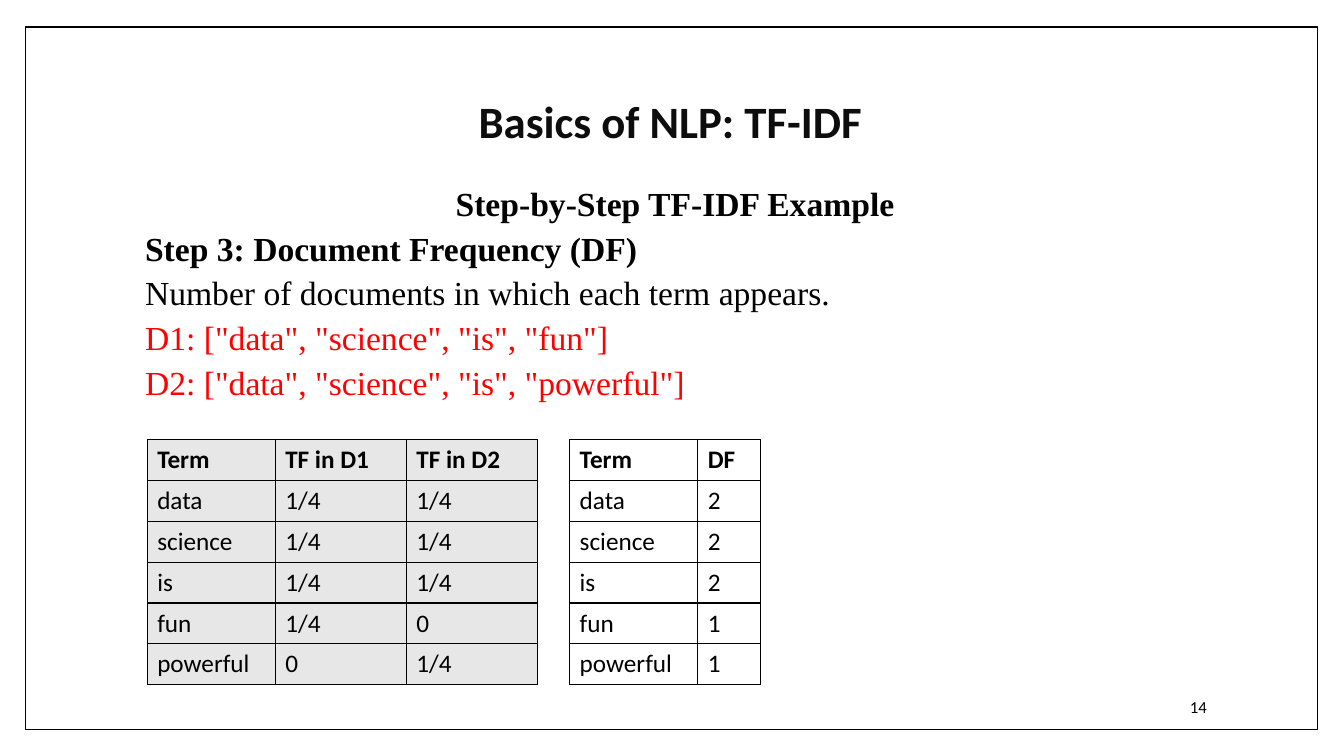
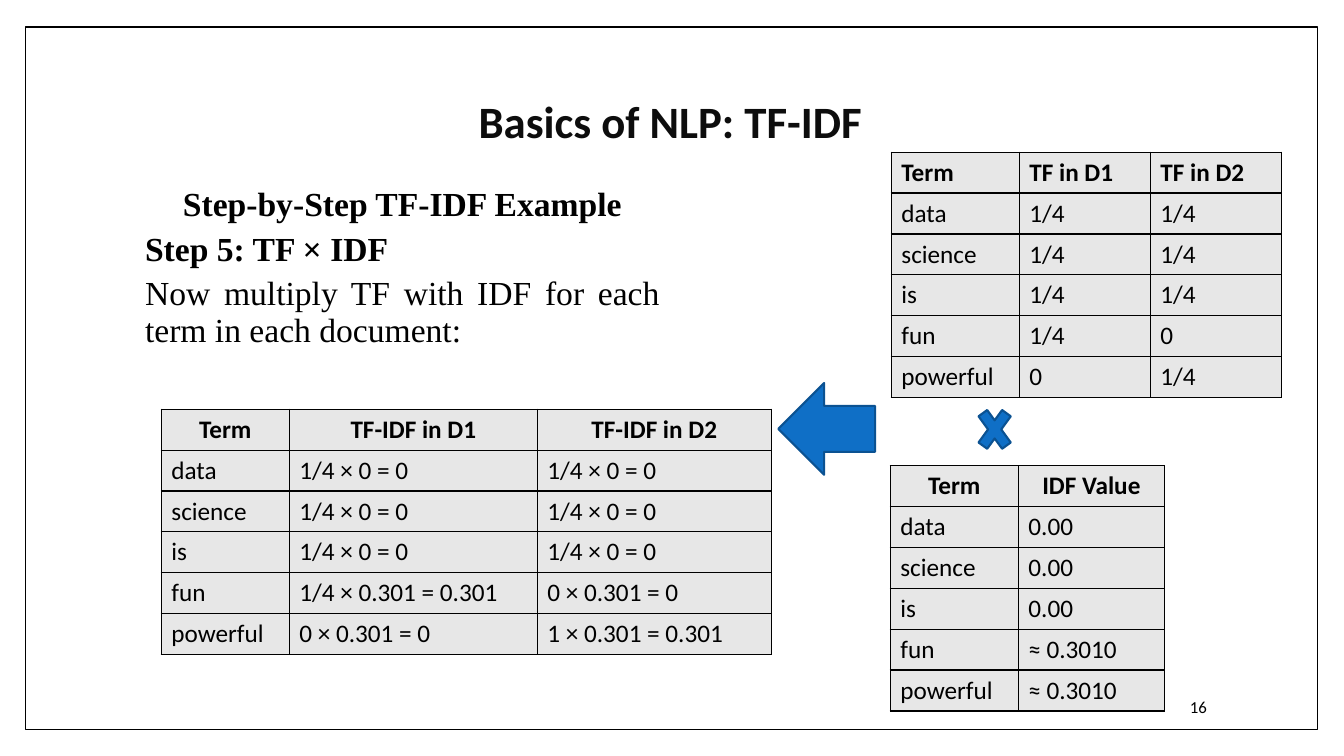
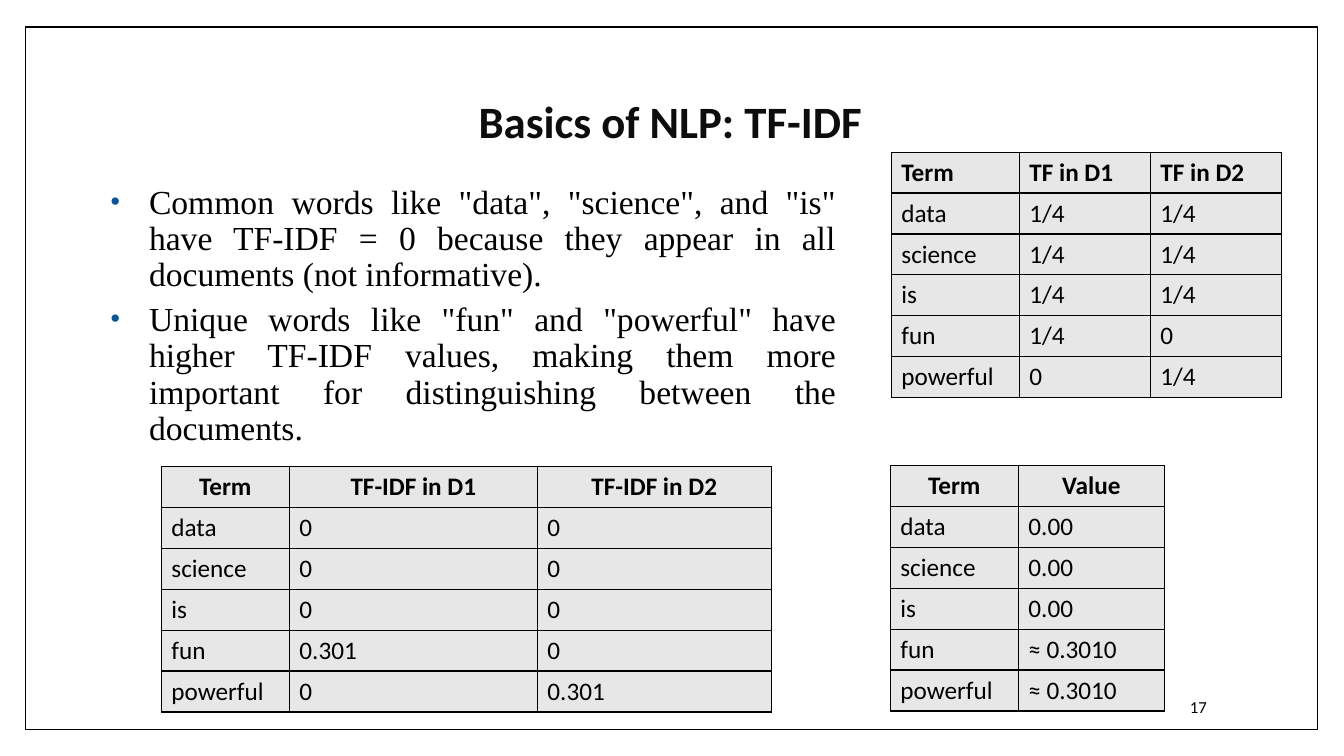
from lxml import etree
from pptx import Presentation
from pptx.dml.color import RGBColor
from pptx.enum import shapes, text
from pptx.oxml.ns import qn
from pptx.util import Inches, Pt

BLACK = RGBColor(0x00, 0x00, 0x00)
WHITE = RGBColor(0xFF, 0xFF, 0xFF)
TITLE_INK = RGBColor(0x0D, 0x0D, 0x0D)
RED = RGBColor(0xFF, 0x00, 0x00)
GREY = RGBColor(0xE7, 0xE7, 0xE7)
BLUE = RGBColor(0x0F, 0x6F, 0xC6)
DARK_BLUE = RGBColor(0x0B, 0x52, 0x92)
BULLET_BLUE = RGBColor(0x0B, 0x53, 0x95)

HEADING_FONT = "Calibri"
BODY_FONT = "Times New Roman"
LEFT, CENTER, RIGHT, JUSTIFY = (
    text.PP_ALIGN.LEFT, text.PP_ALIGN.CENTER, text.PP_ALIGN.RIGHT, text.PP_ALIGN.JUSTIFY)

TERMS = ["data", "science", "is", "fun", "powerful"]
TERM_WIDTH = 1.27
ROW_HEIGHT = 0.4
TF = {"TF in D1": ["1/4"] * 4 + ["0"], "TF in D2": ["1/4"] * 3 + ["0", "1/4"]}
TF_WIDTHS = [1.3, 1.3]
IDF = ["0.00"] * 3 + ["≈ 0.3010"] * 2
IDF_WIDTHS = [1.45]
TFIDF_WIDTHS = [2.46, 2.32]


def add_xml(parent, tag, **attributes):
    return etree.SubElement(parent, qn(tag), attributes)


class Deck:
    """Holds the shared style and the slide being filled."""

    def __init__(self):
        self.prs = Presentation()
        self.prs.slide_width, self.prs.slide_height = Inches(13.33), Inches(7.5)
        self.slide = None

    def new_slide(self, title, number):
        self.slide = self.prs.slides.add_slide(self.prs.slide_layouts[5])
        frame = self.shape(shapes.MSO_SHAPE.RECTANGLE, (0.25, 0.27, 12.82, 6.97), WHITE, BLACK, 1)
        self.slide.shapes._spTree.insert(2, frame._element)  # behind the title

        heading = self.slide.shapes.title
        heading.left, heading.top, heading.width, heading.height = map(
            Inches, (1.25, 0.49, 10.8, 1.48))
        body = self.prepare(heading, text.MSO_ANCHOR.MIDDLE)
        body.paragraphs[0].line_spacing = 0.9
        self.add_text(body.paragraphs[0], title, HEADING_FONT, 32, TITLE_INK, True, CENTER)

        page = self.slide.shapes.add_textbox(*map(Inches, (10.2, 6.81, 1.87, 0.4)))
        body = self.prepare(page, text.MSO_ANCHOR.MIDDLE)
        self.add_text(body.paragraphs[0], str(number), HEADING_FONT, 12, align=RIGHT)

    def prepare(self, holder, anchor):
        body = holder.text_frame
        body.word_wrap = True
        body.auto_size = text.MSO_AUTO_SIZE.NONE
        body.vertical_anchor = anchor
        return body

    def add_text(self, paragraph, words, font, size, color=BLACK, bold=False, align=LEFT):
        paragraph.alignment = align
        run = paragraph.add_run()
        run.text = words
        run.font.name, run.font.size, run.font.bold = font, Pt(size), bold
        run.font.color.rgb = color

    def body_text(self, box, lines, bulleted=False):
        """Each line is (words, colour, bold, alignment)."""
        holder = self.slide.shapes.add_textbox(*map(Inches, box))
        body = self.prepare(holder, text.MSO_ANCHOR.TOP)
        for index, (words, color, bold, align) in enumerate(lines):
            paragraph = body.add_paragraph() if index else body.paragraphs[0]
            self.indent(paragraph, bulleted)
            paragraph.line_spacing = 0.9
            paragraph.space_before = Pt(2 if index else 0)
            paragraph.space_after = Pt(4)
            self.add_text(paragraph, words, BODY_FONT, 24, color, bold, align)

    def indent(self, paragraph, bulleted):
        properties = paragraph._p.get_or_add_pPr()
        margin, hanging = (0.46, -0.38) if bulleted else (0.09, 0)
        properties.set("marL", str(Inches(margin)))
        properties.set("indent", str(Inches(hanging)))
        if bulleted:
            add_xml(add_xml(properties, "a:buClr"), "a:srgbClr", val=str(BULLET_BLUE))
            add_xml(properties, "a:buSzPct", val="80000")
            add_xml(properties, "a:buFont", typeface="Arial")
            add_xml(properties, "a:buChar", char="•")

    def term_table(self, left, top, columns, widths, fill=GREY, header_align=LEFT):
        """A row per term; columns maps each further heading to its values."""
        rows = [["Term", *columns], *zip(TERMS, *columns.values())]
        widths = [TERM_WIDTH, *widths]
        table = self.slide.shapes.add_table(
            len(rows), len(widths), Inches(left), Inches(top),
            Inches(sum(widths)), Inches(ROW_HEIGHT * len(rows))).table
        table.first_row = table.horz_banding = False
        for column, width in zip(table.columns, widths):
            column.width = Inches(width)
        for r, values in enumerate(rows):
            table.rows[r].height = Inches(ROW_HEIGHT)
            for c, value in enumerate(values):
                cell = table.cell(r, c)
                cell.vertical_anchor = text.MSO_ANCHOR.MIDDLE
                self.border(cell)
                if fill is None:
                    cell.fill.background()
                else:
                    cell.fill.solid()
                    cell.fill.fore_color.rgb = fill
                self.add_text(cell.text_frame.paragraphs[0], value, HEADING_FONT, 18,
                              bold=r == 0, align=LEFT if r else header_align)

    def border(self, cell):
        properties = cell._tc.get_or_add_tcPr()
        for side in ("a:lnL", "a:lnR", "a:lnT", "a:lnB"):
            line = add_xml(properties, side, w=str(Pt(1)))
            add_xml(add_xml(line, "a:solidFill"), "a:srgbClr", val=str(BLACK))

    def shape(self, kind, box, fill, line, weight):
        shape = self.slide.shapes.add_shape(kind, *map(Inches, box))
        shape.shadow.inherit = False
        shape.fill.solid()
        shape.fill.fore_color.rgb = fill
        shape.line.color.rgb = line
        shape.line.width = Pt(weight)
        return shape


def main():
    deck = Deck()
    title = "Basics of NLP: TF-IDF"
    example = ("Step-by-Step TF-IDF Example", BLACK, True, CENTER)

    deck.new_slide(title, 14)
    deck.body_text((1.25, 1.81, 10.8, 2.4), [
        example,
        ("Step 3: Document Frequency (DF)", BLACK, True, JUSTIFY),
        ("Number of documents in which each term appears.", BLACK, False, JUSTIFY),
        ('D1: ["data", "science", "is", "fun"]', RED, False, JUSTIFY),
        ('D2: ["data", "science", "is", "powerful"]', RED, False, JUSTIFY),
    ])
    deck.term_table(1.46, 4.36, TF, TF_WIDTHS)
    deck.term_table(5.65, 4.36, {"DF": ["2"] * 3 + ["1"] * 2}, [0.62], fill=None)

    deck.new_slide(title, 16)
    deck.body_text((1.25, 1.81, 5.39, 2.1), [
        example,
        ("Step 5: TF × IDF", BLACK, True, JUSTIFY),
        ("Now multiply TF with IDF for each term in each document:", BLACK, False, JUSTIFY),
    ])
    deck.term_table(8.84, 1.51, TF, TF_WIDTHS)
    deck.term_table(8.83, 4.62, {"IDF Value": IDF}, IDF_WIDTHS, header_align=CENTER)
    common = ["1/4 × 0 = 0"] * 3
    deck.term_table(1.6, 4.06, {
        "TF-IDF in D1": common + ["1/4 × 0.301 = 0.301", "0 × 0.301 = 0"],
        "TF-IDF in D2": common + ["0 × 0.301 = 0", "1 × 0.301 = 0.301"],
    }, TFIDF_WIDTHS, header_align=CENTER)
    deck.shape(shapes.MSO_SHAPE.MATH_MULTIPLY, (9.64, 3.95, 0.45, 0.62), BLUE, DARK_BLUE, 1.5)
    deck.shape(shapes.MSO_SHAPE.LEFT_ARROW, (7.72, 3.8, 0.96, 0.91), BLUE, DARK_BLUE, 1.5)

    deck.new_slide(title, 17)
    deck.body_text((0.92, 1.79, 7.47, 2.46), [
        ('Common words like "data", "science", and "is" have TF-IDF = 0 because they '
         'appear in all documents (not informative).', BLACK, False, JUSTIFY),
        ('Unique words like "fun" and "powerful" have higher TF-IDF values, making them '
         'more important for distinguishing between the documents.', BLACK, False, JUSTIFY),
    ], bulleted=True)
    deck.term_table(8.84, 1.51, TF, TF_WIDTHS)
    deck.term_table(8.83, 4.62, {"Value": IDF}, IDF_WIDTHS, header_align=CENTER)
    deck.term_table(1.6, 4.63, {
        "TF-IDF in D1": ["0"] * 3 + ["0.301", "0"],
        "TF-IDF in D2": ["0"] * 4 + ["0.301"],
    }, TFIDF_WIDTHS, header_align=CENTER)

    deck.prs.save("out.pptx")


if __name__ == "__main__":
    main()
